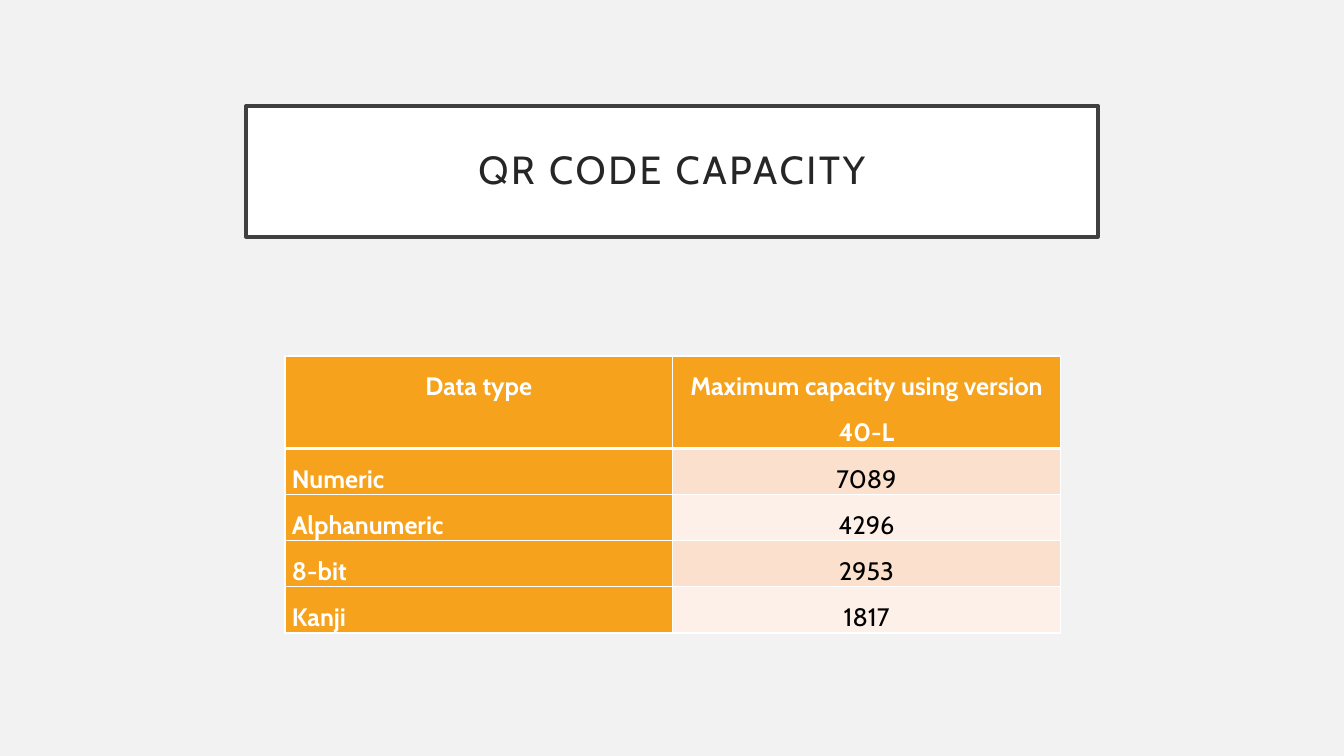
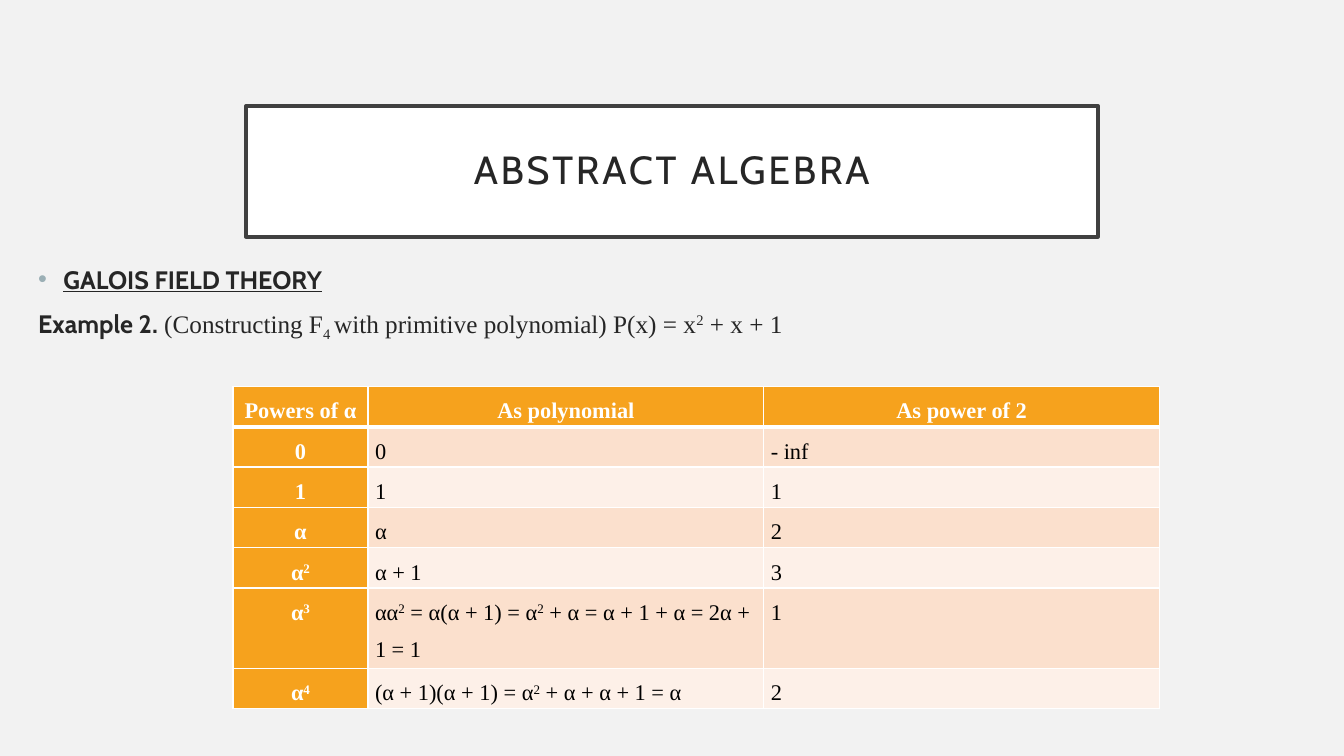
from lxml.etree import SubElement
from pptx import Presentation
from pptx.dml.color import RGBColor
from pptx.enum.shapes import MSO_SHAPE
from pptx.enum.text import MSO_ANCHOR, PP_ALIGN
from pptx.oxml.ns import qn
from pptx.util import Inches, Pt

PAPER = RGBColor(0xF2, 0xF2, 0xF2)
WHITE = RGBColor(0xFF, 0xFF, 0xFF)
BLACK = RGBColor(0, 0, 0)
FRAME = RGBColor(0x40, 0x40, 0x40)
INK = RGBColor(0x26, 0x26, 0x26)
GOLD = RGBColor(0xF6, 0xA2, 0x1D)
PEACH = RGBColor(0xFB, 0xE0, 0xCD)
CREAM = RGBColor(0xFD, 0xF0, 0xE8)
GREY = RGBColor(0x9B, 0xAF, 0xB5)
SANS, SERIF = "Cabin", "Times New Roman"
LEFT, MID = PP_ALIGN.LEFT, PP_ALIGN.CENTER

deck = Presentation()
deck.slide_width = Inches(13.33)
deck.slide_height = Inches(7.5)
COL = deck.slide_width / 100
ROW = deck.slide_height / 100
back = deck.slide_master.background.fill
back.solid()
back.fore_color.rgb = PAPER


def place(left, top, wide, high):
    return int(left * COL), int(top * ROW), int(wide * COL), int(high * ROW)


def style(run, face, size, tint, bold=False, base=0):
    font = run.font
    font.name, font.size, font.bold = face, Pt(size), bold
    font.color.rgb = tint
    if base:
        run._r.get_or_add_rPr().set("baseline", str(base * 1000))


pages = [
    dict(
        title="QR CODE CAPACITY",
        lines=[],
        spot=(21.2, 47.1), cols=[28.85, 28.85],
        rows=[12.2] + [5.75] * 4,
        face=SANS, size=18, before=3, aligns=[LEFT, MID],
        cells=[
            ["Data type", "Maximum capacity using version 40-L"],
            ["Numeric", "7089"],
            ["Alphanumeric", "4296"],
            ["8-bit", "2953"],
            ["Kanji", "1817"],
        ],
    ),
    dict(
        title="ABSTRACT ALGEBRA",
        lines=[
            [("GALOIS FIELD THEORY", SANS, True, 0)],
            [
                ("Example 2.", SANS, True, 0),
                (" (Constructing F", SERIF, False, 0),
                ("4 ", SERIF, False, -25),
                ("with primitive polynomial) P(x) = x", SERIF, False, 0),
                ("2", SERIF, False, 30),
                (" + x + 1", SERIF, False, 0),
            ],
        ],
        spot=(17.33, 51.1), cols=[10.05, 29.45, 29.45],
        rows=[4.65] * 5 + [9.75, 4.65],
        face=SERIF, size=16, before=6, aligns=[MID, LEFT, LEFT],
        cells=[
            ["Powers of α", "As polynomial", "As power of 2"],
            ["0", "0", "- inf"],
            ["1", "1", "1"],
            ["α", "α", "2"],
            ["α|2", "α + 1", "3"],
            ["α|3", "αα|2| = α(α + 1) = α|2| + α = α + 1 + α = 2α + 1 = 1", "1"],
            ["α|4", "(α + 1)(α + 1) = α|2| + α + α + 1 = α", "2"],
        ],
    ),
]

for page in pages:
    slide = deck.slides.add_slide(deck.slide_layouts[6])

    title = slide.shapes.add_shape(MSO_SHAPE.RECTANGLE, *place(18.3, 14, 63.4, 17.33))
    title.shadow.inherit = False
    title.fill.solid()
    title.fill.fore_color.rgb = WHITE
    title.line.color.rgb = FRAME
    title.line.width = Pt(2.5)
    frame = title.text_frame
    frame.text = page["title"]
    frame.word_wrap = True
    frame.vertical_anchor = MSO_ANCHOR.MIDDLE
    frame.margin_left = frame.margin_right = Inches(0.2)
    frame.margin_top = frame.margin_bottom = Inches(0.2)
    par = frame.paragraphs[0]
    par.alignment = MID
    par.line_spacing = 0.9
    style(par.runs[0], SANS, 28, INK)
    par.runs[0]._r.get_or_add_rPr().set("spc", "200")

    if page["lines"]:
        body = slide.shapes.add_textbox(*place(2.1, 34.27, 95.7, 63.2)).text_frame
        body.word_wrap = True
        for num, line in enumerate(page["lines"]):
            par = body.add_paragraph() if num else body.paragraphs[0]
            par.space_before = Pt(10)
            for text, face, bold, base in line:
                run = par.add_run()
                run.text = text
                style(run, face, 18, INK, bold, base)
        head = body.paragraphs[0]
        head.runs[0].font.underline = True
        props = head._p.get_or_add_pPr()
        props.set("marL", str(Inches(0.25)))
        props.set("indent", str(-Inches(0.25)))
        tint = SubElement(props, qn("a:buClr"))
        SubElement(tint, qn("a:srgbClr"), val=str(GREY))
        SubElement(props, qn("a:buFont"), typeface="Arial")
        SubElement(props, qn("a:buChar"), char="•")

    cols, rows, cells = page["cols"], page["rows"], page["cells"]
    area = place(*page["spot"], sum(cols), sum(rows))
    table = slide.shapes.add_table(len(rows), len(cols), *area).table
    table.first_row = table.horz_banding = False
    for col, wide in zip(table.columns, cols):
        col.width = int(wide * COL)
    for row, high in zip(table.rows, rows):
        row.height = int(high * ROW)

    for r, texts in enumerate(cells):
        for c, text in enumerate(texts):
            cell = table.cell(r, c)
            cell.margin_left = cell.margin_right = Inches(0.07)
            cell.margin_top = cell.margin_bottom = 0
            props = cell._tc.get_or_add_tcPr()
            for side in "LRTB":
                thick = (r, side) in [(0, "B"), (1, "T")]
                edge = SubElement(props, qn("a:ln" + side), w=str(Pt(3 if thick else 1)))
                paint = SubElement(edge, qn("a:solidFill"))
                SubElement(paint, qn("a:srgbClr"), val=str(WHITE))
            key = r == 0 or c == 0
            cell.fill.solid()
            cell.fill.fore_color.rgb = GOLD if key else PEACH if r % 2 else CREAM
            par = cell.text_frame.paragraphs[0]
            par.alignment = page["aligns"][c] if r else MID
            par.line_spacing = 1.5
            par.space_before = Pt(page["before"])
            par.space_after = Pt(3)
            for num, part in enumerate(text.split("|")):
                run = par.add_run()
                run.text = part
                tint = WHITE if key else BLACK
                style(run, page["face"], page["size"], tint, key, num % 2 * 30)

deck.save("out.pptx")
